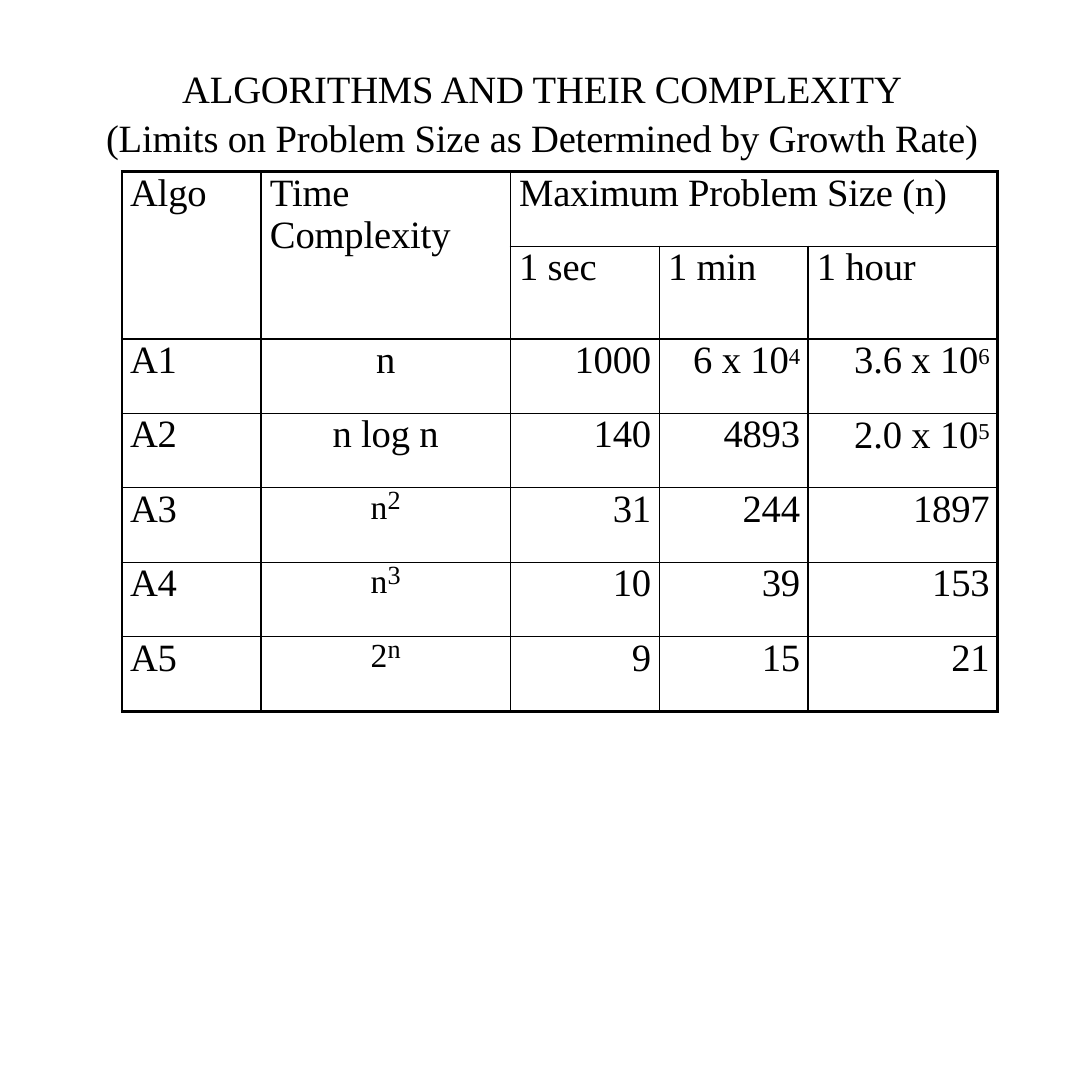
from lxml.etree import SubElement
from pptx import Presentation
from pptx.dml.color import RGBColor
from pptx.enum.text import PP_ALIGN
from pptx.oxml.ns import qn
from pptx.util import Pt

BLACK = RGBColor(0, 0, 0)
FONT = "Times New Roman"
SIZE = 28
THIN, THICK = 1, 2.25
TITLE_BOX = (72.72, 46.8, 640.8, 68.4)
TABLE_BOX = (88.56, 124.56, 635.04, 385.2)
COLUMNS = [100.8, 180.72, 108, 108, 137.52]
HEIGHTS = [54, 61.2] + [54] * 5
TITLE = [
    "ALGORITHMS AND THEIR COMPLEXITY",
    "(Limits on Problem Size as Determined by Growth Rate)",
]
ROWS = [
    ["Algo", "Time Complexity", "Maximum Problem Size (n)", "", ""],
    ["", "", "1 sec", "1 min", "1 hour"],
    ["A1", "n", "1000", "6 x 10^4", "3.6 x 10^6"],
    ["A2", "n log n", "140", "4893", "2.0 x 10^5"],
    ["A3", "n^2", "31", "244", "1897"],
    ["A4", "n^3", "10", "39", "153"],
    ["A5", "2^n", "9", "15", "21"],
]
MERGES = [((0, 0), (1, 0)), ((0, 1), (1, 1)), ((0, 2), (0, 4))]


def add_span(para, text, size=SIZE, baseline=0):
    """Add one run of text with its size and baseline shift in percent."""
    span = para.add_run()
    span.text = text
    span.font.color.rgb = BLACK
    for name, value in {"name": FONT, "size": Pt(size)}.items():
        setattr(span.font, name, value)
    properties = span.font._element
    properties.set("spc", "-10")
    if baseline:
        properties.set("baseline", str(baseline * 1000))


def write(para, text, **formats):
    """Write text into a paragraph, raising what follows a caret."""
    for name, value in formats.items():
        setattr(para, name, value)
    base, _, power = text.partition("^")
    if power and para.line_spacing:
        add_span(para, base, 42, -16)
        add_span(para, power, 19)
    else:
        add_span(para, base)
        if power:
            add_span(para, power, 28.5, 23)


def add_border(cell, side, width):
    """Draw one side of a cell as a solid black line."""
    line = SubElement(cell._tc.get_or_add_tcPr(), qn(f"a:ln{side}"), w=str(Pt(width)))
    fill = SubElement(line, qn("a:solidFill"))
    SubElement(fill, qn("a:srgbClr"), val=str(BLACK))


def style_cell(cell, row, column):
    """Give a cell its margins and borders, thick along the table's edge."""
    last_row = row + cell.span_height == len(ROWS)
    last_column = column + cell.span_width == len(COLUMNS)
    edges = {"L": column == 0, "R": last_column, "T": row == 0, "B": last_row}
    for side, outer in edges.items():
        add_border(cell, side, THICK if outer else THIN)
    cell.fill.background()
    figure = row > 1 and column > 1
    left = 0 if figure or row > 1 and column == 1 else 5.76 if column == 0 else 6.48
    margins = {"left": left, "right": 5.76 if figure else 0, "top": 0, "bottom": 0}
    for side, value in margins.items():
        setattr(cell, f"margin_{side}", Pt(value))


def fill_cell(cell, text, row, column):
    """Write a cell's text, aligned by the column it stands in."""
    formats = {"space_before": Pt(2.2 if row else 1.6)}
    if row > 1 and column:
        formats["alignment"] = PP_ALIGN.CENTER if column == 1 else PP_ALIGN.RIGHT
    if column == 1 and "^" in text:
        formats = {"alignment": PP_ALIGN.CENTER, "line_spacing": Pt(27.9)}
    write(cell.text_frame.paragraphs[0], text, **formats)


def add_title(page, box):
    """Place the two centred title lines in the box."""
    frame = page.shapes.add_textbox(*map(Pt, box)).text_frame
    frame.word_wrap = True
    for side in ("left", "right", "top", "bottom"):
        setattr(frame, f"margin_{side}", 0)
    for index, text in enumerate(TITLE):
        para = frame.add_paragraph() if index else frame.paragraphs[0]
        write(para, text, alignment=PP_ALIGN.CENTER, space_before=Pt(2))


def add_complexity_table(page, box):
    """Place the table of problem sizes in the box."""
    shape = page.shapes.add_table(len(ROWS), len(COLUMNS), *map(Pt, box))
    table = shape.table
    table.first_row = table.horz_banding = False
    for column, width in zip(table.columns, COLUMNS):
        column.width = Pt(width)
    for row, height in zip(table.rows, HEIGHTS):
        row.height = Pt(height)
    for first, last in MERGES:
        table.cell(*first).merge(table.cell(*last))
    for row, texts in enumerate(ROWS):
        for column, text in enumerate(texts):
            cell = table.cell(row, column)
            style_cell(cell, row, column)
            if text:
                fill_cell(cell, text, row, column)


def main():
    """Build the slide and save it."""
    deck = Presentation()
    deck.slide_width = deck.slide_height = Pt(792)
    page = deck.slides.add_slide(deck.slide_layouts[6])
    add_title(page, TITLE_BOX)
    add_complexity_table(page, TABLE_BOX)
    deck.save("out.pptx")


if __name__ == "__main__":
    main()
